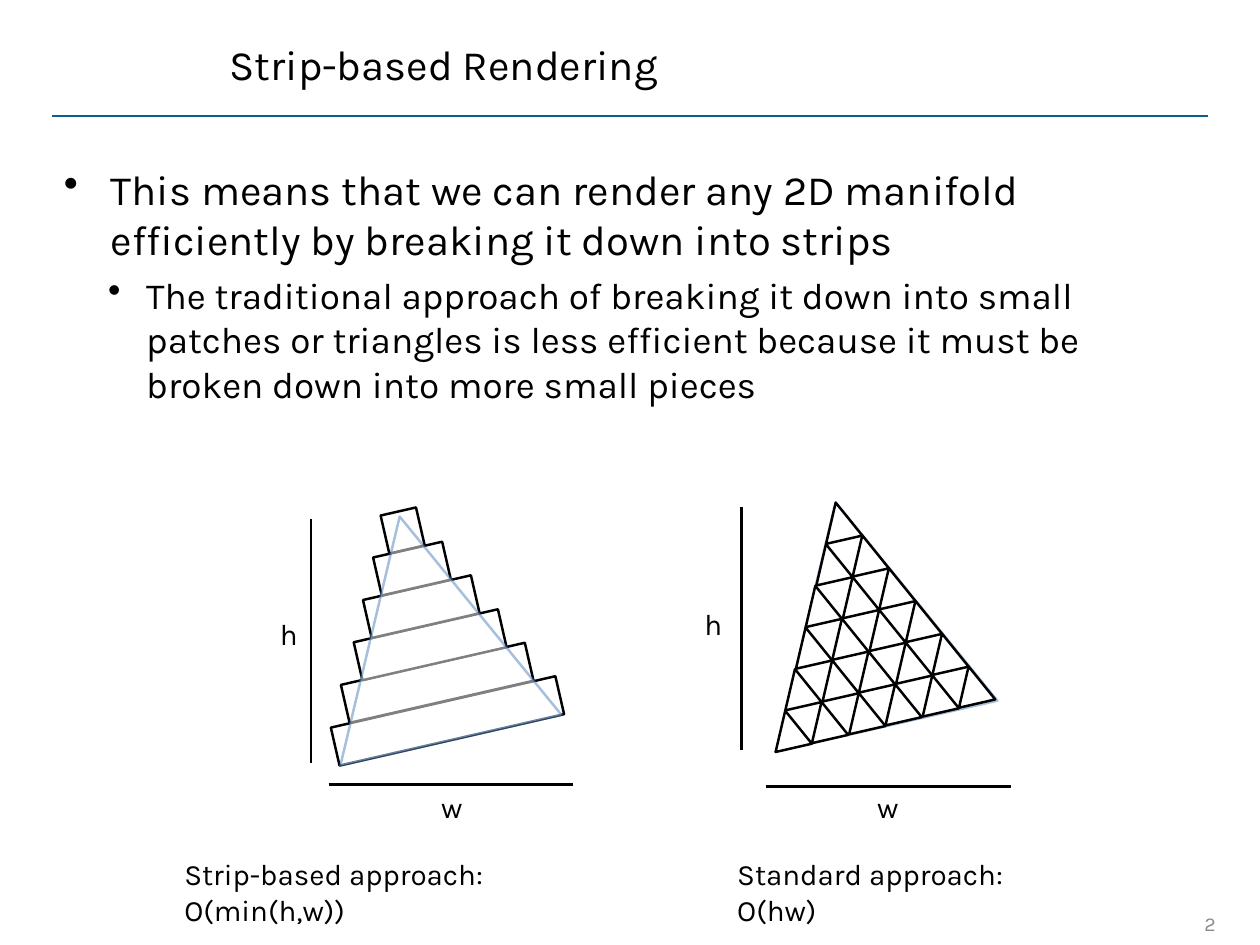
from lxml import etree
from pptx import Presentation
from pptx.dml.color import RGBColor
from pptx.enum.shapes import MSO_CONNECTOR, MSO_SHAPE
from pptx.enum.text import MSO_ANCHOR, MSO_AUTO_SIZE, PP_ALIGN
from pptx.oxml.ns import qn
from pptx.util import Pt

PX = 9144  # EMU per px, 100 px to the inch
FONT = "Karla"
TILT = 347.1
BLACK = RGBColor(0x00, 0x00, 0x00)
WHITE = RGBColor(0xFF, 0xFF, 0xFF)
GRAY = RGBColor(0x89, 0x89, 0x89)
TEAL = RGBColor(0x0F, 0x5E, 0x90)
BLUE = RGBColor(0x4F, 0x81, 0xBD)
LEFT, RIGHT = PP_ALIGN.LEFT, PP_ALIGN.RIGHT
TOP, MIDDLE = MSO_ANCHOR.TOP, MSO_ANCHOR.MIDDLE
NO_AUTOFIT = MSO_AUTO_SIZE.NONE
STRAIGHT = MSO_CONNECTOR.STRAIGHT
RECTANGLE = MSO_SHAPE.RECTANGLE


def write_text(frame, text, *, size=24, color=BLACK, align=LEFT, anchor=TOP,
               wrap=True, level=0, before=0, bullet_indent=None):
    """Add one paragraph; bullet_indent is (text margin, hanging) in px."""
    frame.auto_size = NO_AUTOFIT
    frame.word_wrap = wrap
    frame.vertical_anchor = anchor
    frame.margin_left = frame.margin_right = 7 * PX
    frame.margin_top = frame.margin_bottom = 7 * PX
    paragraph = frame.add_paragraph() if frame.text else frame.paragraphs[0]
    paragraph.text = text
    paragraph.alignment = align
    paragraph.level = level
    paragraph.space_before = Pt(before)
    for run in paragraph.runs:
        run.font.name = FONT
        run.font.size = Pt(size)
        run.font.color.rgb = color
    if bullet_indent:
        margin, hanging = bullet_indent
        properties = paragraph._p.get_or_add_pPr()
        properties.set("marL", str(margin * PX))
        properties.set("indent", str(-hanging * PX))
        etree.SubElement(properties, qn("a:buChar")).set("char", "•")


def add_triangle(left, top, width, height, *, color=BLACK, alpha=None):
    """Draw a tilted isosceles triangle, optionally see-through."""
    builder = shapes.build_freeform(left + width / 2, top, scale=PX)
    builder.add_line_segments([(left + width, top + height), (left, top + height)])
    triangle = builder.convert_to_shape()
    triangle.rotation = TILT
    triangle.shadow.inherit = False
    triangle.fill.solid()
    triangle.fill.fore_color.rgb = WHITE
    triangle.line.color.rgb = color
    triangle.line.width = Pt(2)
    if alpha:
        for paint in triangle._element.spPr.iter(qn("a:srgbClr")):
            etree.SubElement(paint, qn("a:alpha")).set("val", str(alpha * 1000))


deck = Presentation()
deck.slide_width, deck.slide_height = 1422 * PX, 1067 * PX
slide = deck.slides.add_slide(deck.slide_layouts[5])
shapes = slide.shapes

# Title
title = shapes.title
title.left, title.top, title.width, title.height = 252 * PX, 24 * PX, 1111 * PX, 95 * PX
write_text(title.text_frame, "Strip-based Rendering", size=34, anchor=MIDDLE)

# Bullets
bullets = shapes.add_textbox(65 * PX, 178 * PX, 1292 * PX, 830 * PX).text_frame
write_text(bullets, "This means that we can render any 2D manifold efficiently by "
           "breaking it down into strips", size=34, before=8, bullet_indent=(53, 53))
write_text(bullets, "The traditional approach of breaking it down into small patches or "
           "triangles is less efficient because it must be broken down into more small pieces",
           size=30, level=1, before=7, bullet_indent=(93, 43))

# Strip-based approach: six stacked strips under the outline
STRIPS = [(375, 260), (387, 213), (402, 167), (413, 125), (425, 80), (434, 41)]
for row, (left, width) in enumerate(STRIPS):
    strip = shapes.add_shape(RECTANGLE, left * PX, (792 - 43 * row) * PX, width * PX, 44 * PX)
    strip.rotation = TILT
    strip.shadow.inherit = False
    strip.fill.solid()
    strip.fill.fore_color.rgb = WHITE
    strip.line.color.rgb = BLACK
    strip.line.width = Pt(2)
add_triangle(352, 580, 256, 259, color=BLUE, alpha=50)

# Standard approach: outline covered by rows of small triangles
add_triangle(844, 564, 256, 259, color=BLUE, alpha=50)
for row in range(6):
    for column in range(6 - row):
        add_triangle(round(870 + 41.4 * column + 11.4 * row),
                     802 - 10 * column - 47 * row, 42, 43)

# Title rule and the lines measuring width and height
LINES = [
    (59, 131, 1363, 131, TEAL),
    (371, 886, 647, 886, BLACK),
    (351, 586, 351, 861, BLACK),
    (864, 888, 1141, 888, BLACK),
    (837, 573, 837, 847, BLACK),
]
for x1, y1, x2, y2, color in LINES:
    line = shapes.add_connector(STRAIGHT, x1 * PX, y1 * PX, x2 * PX, y2 * PX)
    line.line.color.rgb = color
    line.line.width = Pt(2)
    etree.SubElement(line._element.spPr, qn("a:effectLst"))

# Dimension labels, captions and page number
LABELS = [
    ("w", 491, 884, 40, 55, {"wrap": False}),
    ("h", 309, 689, 34, 55, {"wrap": False}),
    ("w", 983, 884, 40, 55, {"wrap": False}),
    ("h", 788, 677, 34, 55, {"wrap": False}),
    ("Strip-based approach:\nO(min(h,w))", 201, 960, 533, 55, {}),
    ("Standard approach:\nO(hw)", 825, 960, 408, 55, {}),
    ("2", 1351, 1022, 28, 41,
     {"size": 16, "color": GRAY, "align": RIGHT, "anchor": MIDDLE, "wrap": False}),
]
for text, left, top, width, height, style in LABELS:
    label = shapes.add_textbox(left * PX, top * PX, width * PX, height * PX)
    write_text(label.text_frame, text, **style)

deck.save("out.pptx")
